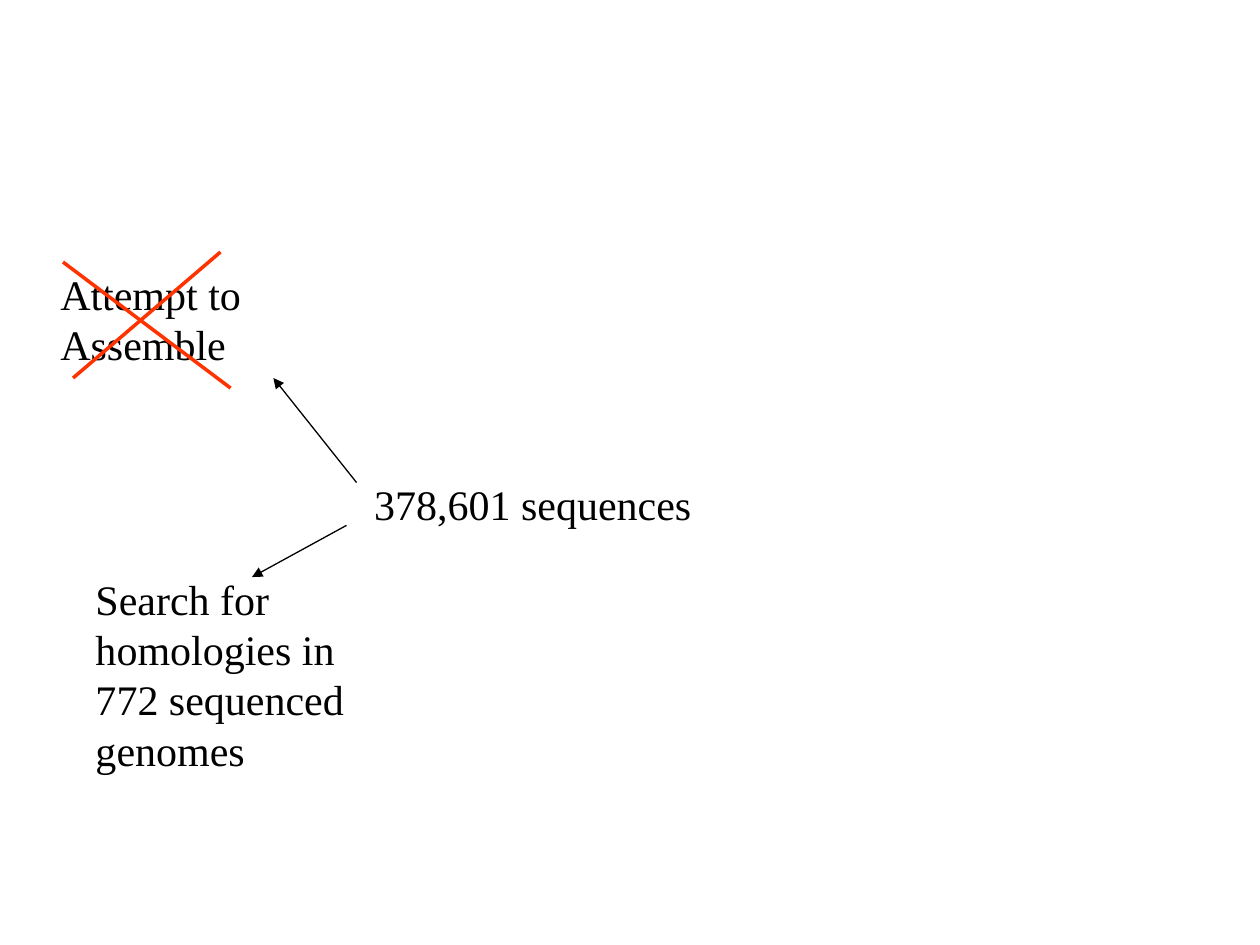
from dataclasses import dataclass

from lxml import etree
from pptx import Presentation
from pptx.dml.color import RGBColor
from pptx.enum.shapes import MSO_CONNECTOR
from pptx.enum.text import MSO_AUTO_SIZE
from pptx.oxml.ns import qn
from pptx.shapes.shapetree import _BaseGroupShapes
from pptx.util import Inches, Pt

STRAIGHT = MSO_CONNECTOR.STRAIGHT
GROW = MSO_AUTO_SIZE.SHAPE_TO_FIT_TEXT
BLACK = RGBColor(0x00, 0x00, 0x00)
RED = RGBColor(0xFF, 0x33, 0x00)
FONT = "Times New Roman"


@dataclass
class Box:
    left: float
    top: float
    width: float
    height: float


@dataclass
class Line:
    start: tuple[float, float]
    end: tuple[float, float]
    color: RGBColor = BLACK
    width: float = 0.75
    arrow: bool = True


def add_text(host: _BaseGroupShapes, box: Box, text: str, *, size: float = 24,
             font: str = FONT, color: RGBColor = BLACK) -> None:
    shape = host.add_textbox(Inches(box.left), Inches(box.top),
                             Inches(box.width), Inches(box.height))
    frame = shape.text_frame
    frame.word_wrap = False
    frame.auto_size = GROW
    frame.text = text
    for para in frame.paragraphs:
        for run in para.runs:
            run.font.size = Pt(size)
            run.font.name = font
            run.font.color.rgb = color


def add_line(host: _BaseGroupShapes, line: Line) -> None:
    points = [Inches(n) for n in (*line.start, *line.end)]
    shape = host.add_connector(STRAIGHT, *points)
    shape.line.color.rgb = line.color
    shape.line.width = Pt(line.width)
    if line.arrow:
        stroke = shape.line._get_or_add_ln()
        etree.SubElement(stroke, qn("a:tailEnd"), type="triangle")
    etree.SubElement(shape._element.spPr, qn("a:effectLst"))


def main() -> None:
    deck = Presentation()
    deck.slide_width, deck.slide_height = Inches(10), Inches(7.5)
    shapes = deck.slides.add_slide(deck.slide_layouts[6]).shapes

    # Starting count and the attempt to assemble
    add_text(shapes, Box(2.87, 3.75, 2.72, 0.5), "378,601 sequences")
    add_text(shapes, Box(0.38, 2.08, 1.72, 0.9), "Attempt to\nAssemble")
    add_line(shapes, Line((2.83, 3.83), (2.17, 3)))

    # Homology search
    search = shapes.add_group_shape().shapes
    add_line(search, Line((2.75, 4.17), (2, 4.58)))
    add_text(search, Box(0.66, 4.5, 2.17, 2.1),
             "Search for\nhomologies in\n772 sequenced\ngenomes")

    # Red cross over the failed attempt
    cross = shapes.add_group_shape().shapes
    for start, end in (((0.5, 2.08), (1.83, 3.08)), ((0.58, 3), (1.75, 2))):
        add_line(cross, Line(start, end, RED, 2, arrow=False))

    deck.save("out.pptx")


if __name__ == "__main__":
    main()
